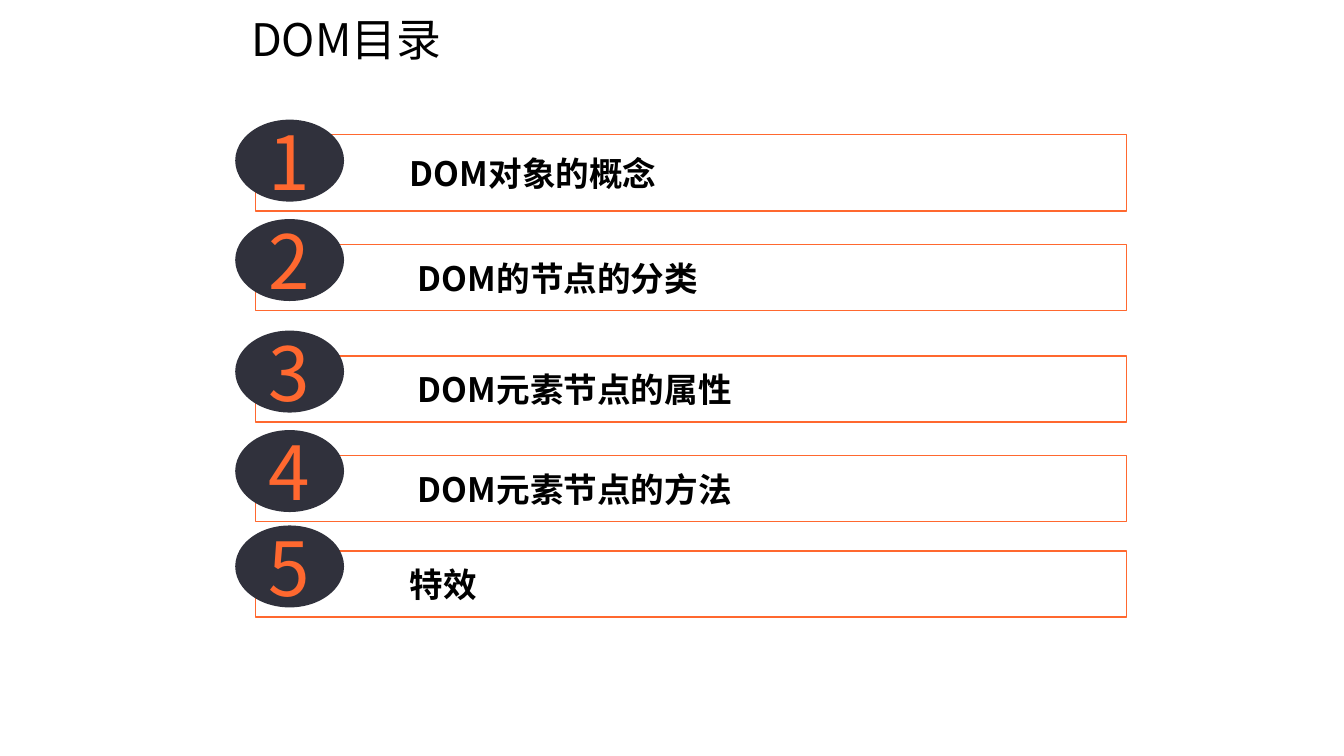
from pptx import Presentation
from pptx.dml.color import RGBColor
from pptx.enum.shapes import MSO_SHAPE
from pptx.enum.text import MSO_ANCHOR, MSO_AUTO_SIZE, PP_ALIGN
from pptx.util import Inches, Pt
from lxml.etree import SubElement
from pptx.oxml.ns import qn

FONT = "Noto Sans CJK SC"


def rgb(value):
    return RGBColor.from_string(value)


def write(sp, text, size, color="000000", bold=False, align=PP_ALIGN.LEFT,
          anchor=MSO_ANCHOR.MIDDLE, insets=(0.1, 0.05, 0.1, 0.05), indent=0):
    tf = sp.text_frame
    tf.word_wrap = True
    tf.vertical_anchor = anchor
    tf.margin_left, tf.margin_top, tf.margin_right, tf.margin_bottom = map(Inches, insets)
    p = tf.paragraphs[0]
    p.alignment = align
    if indent:
        p.level = 1
        pPr = p._p.get_or_add_pPr()
        pPr.set("marL", str(Inches(indent)))
        pPr.set("indent", "0")
    r = p.add_run()
    r.text = text
    r.font.size = Pt(size)
    r.font.bold = bold
    r.font.name = FONT
    r.font.color.rgb = rgb(color)
    SubElement(r.font._element, qn("a:ea")).set("typeface", FONT)


prs = Presentation()
prs.slide_width, prs.slide_height = Inches(10), Inches(10 * 9 / 16)
s = prs.slides.add_slide(prs.slide_layouts[6])

title = s.shapes.add_textbox(Inches(1.77), Inches(0.04), Inches(4.02), Inches(0.5))
write(title, "DOM目录", 24, anchor=MSO_ANCHOR.TOP)
title.text_frame.auto_size = MSO_AUTO_SIZE.SHAPE_TO_FIT_TEXT

rows = [
    ("DOM对象的概念", 1, 0.57, 0.89, 0.5),
    ("DOM的节点的分类", 1.82, 0.49, 1.63, 0.56),
    ("DOM元素节点的属性", 2.65, 0.49, 2.46, 0.56),
    ("DOM元素节点的方法", 3.39, 0.49, 3.2, 0.56),
    ("特效", 4.1, 0.49, 3.91, 0.5),
]
for number, (topic, top, height, oval_top, indent) in enumerate(rows, 1):
    bar = s.shapes.add_shape(MSO_SHAPE.RECTANGLE, Inches(1.9), Inches(top),
                             Inches(6.48), Inches(height))
    bar.shadow.inherit = False
    bar.fill.solid()
    bar.fill.fore_color.rgb = rgb("FFFFFF")
    white = bar._element.spPr.find(qn("a:solidFill")).find(qn("a:srgbClr"))
    SubElement(white, qn("a:alpha")).set("val", "40000")
    bar.line.color.rgb = rgb("FF682F")
    bar.line.width = Pt(0.75)
    write(bar, topic, 18, bold=True, insets=(0.65, 0.08, 0.08, 0.08), indent=indent)

    oval = s.shapes.add_shape(MSO_SHAPE.OVAL, Inches(1.75), Inches(oval_top),
                              Inches(0.81), Inches(0.61))
    oval.shadow.inherit = False
    oval.fill.solid()
    oval.fill.fore_color.rgb = rgb("30313C")
    oval.line.fill.background()
    write(oval, str(number), 40, color="FF682F", align=PP_ALIGN.CENTER)

prs.save("out.pptx")
